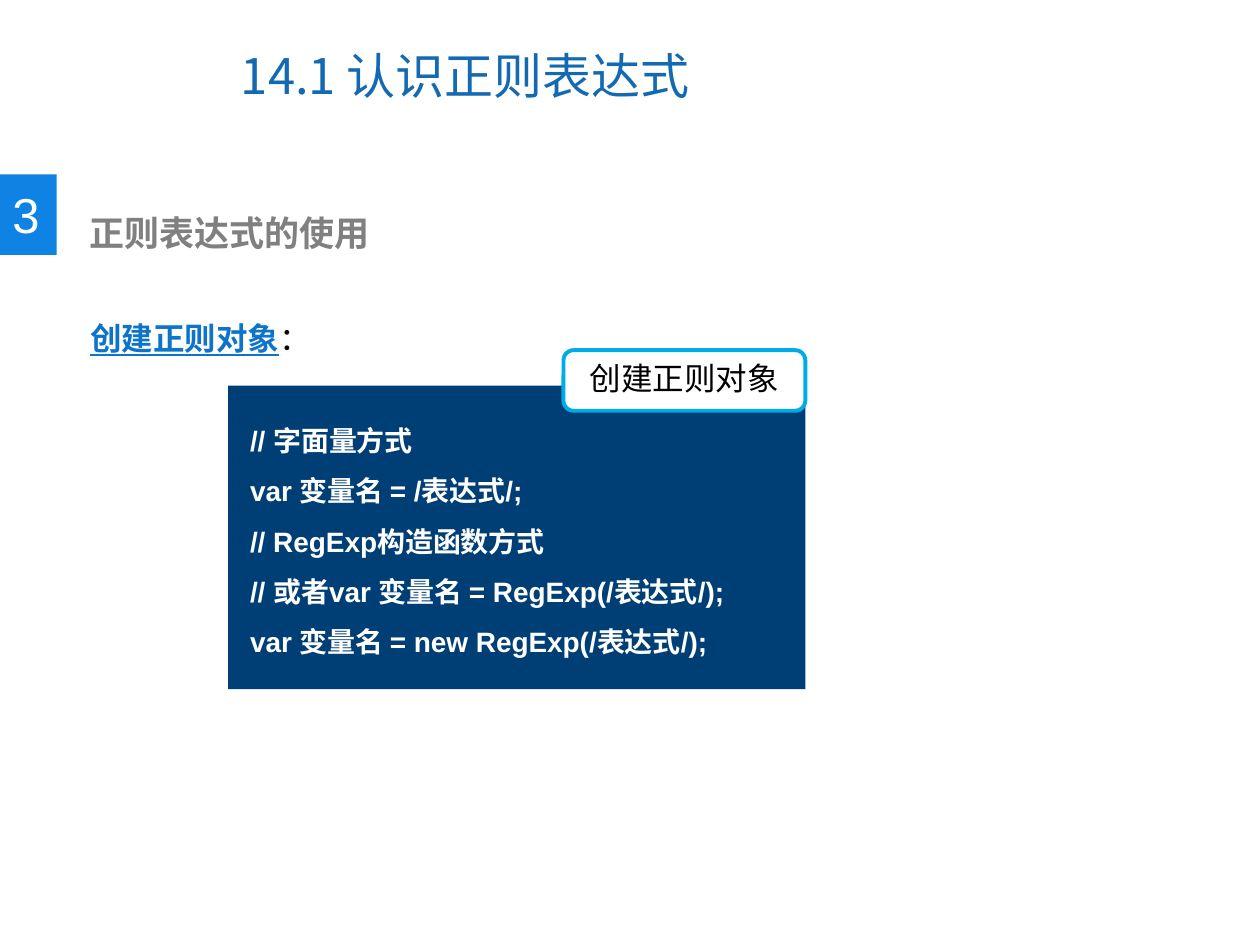
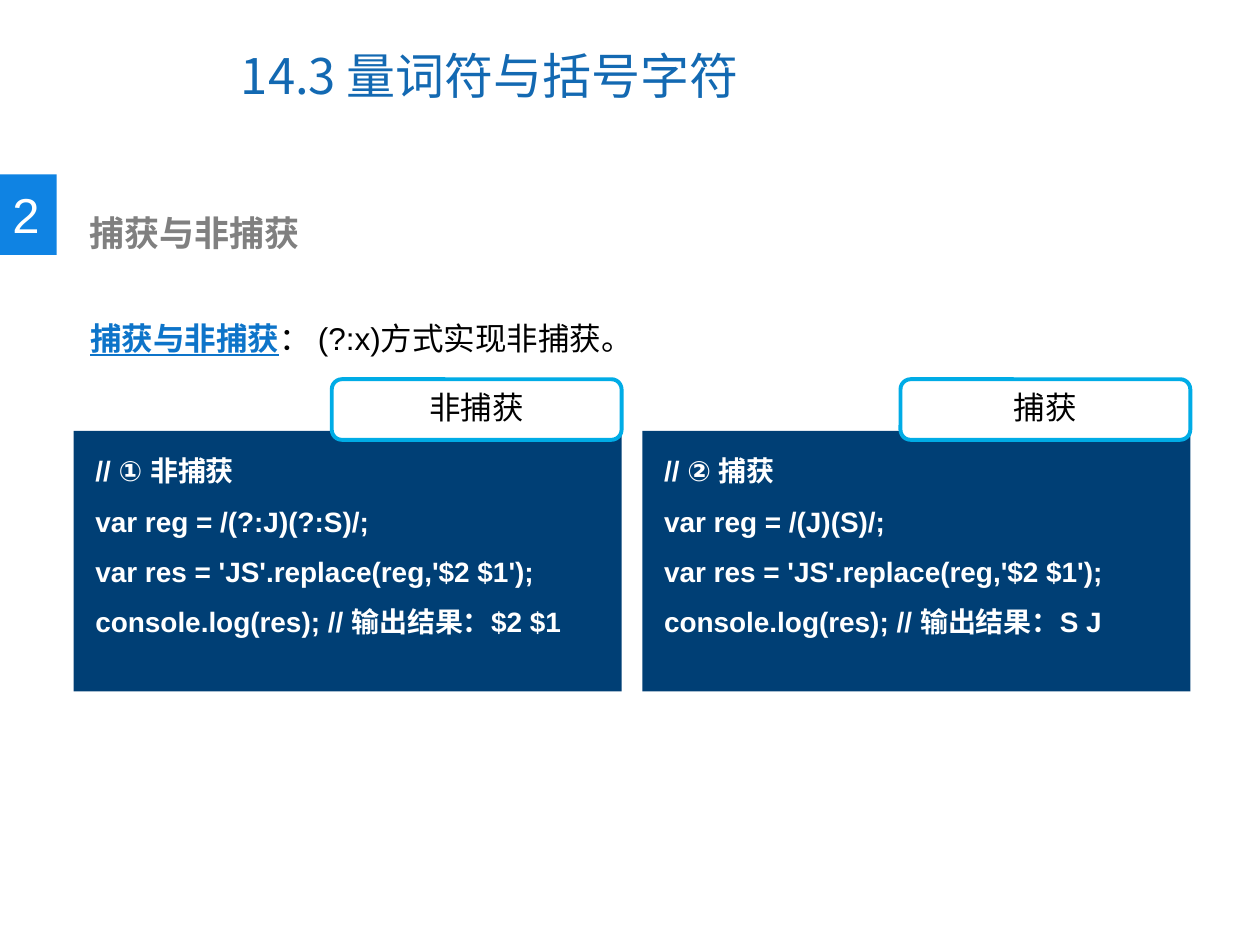
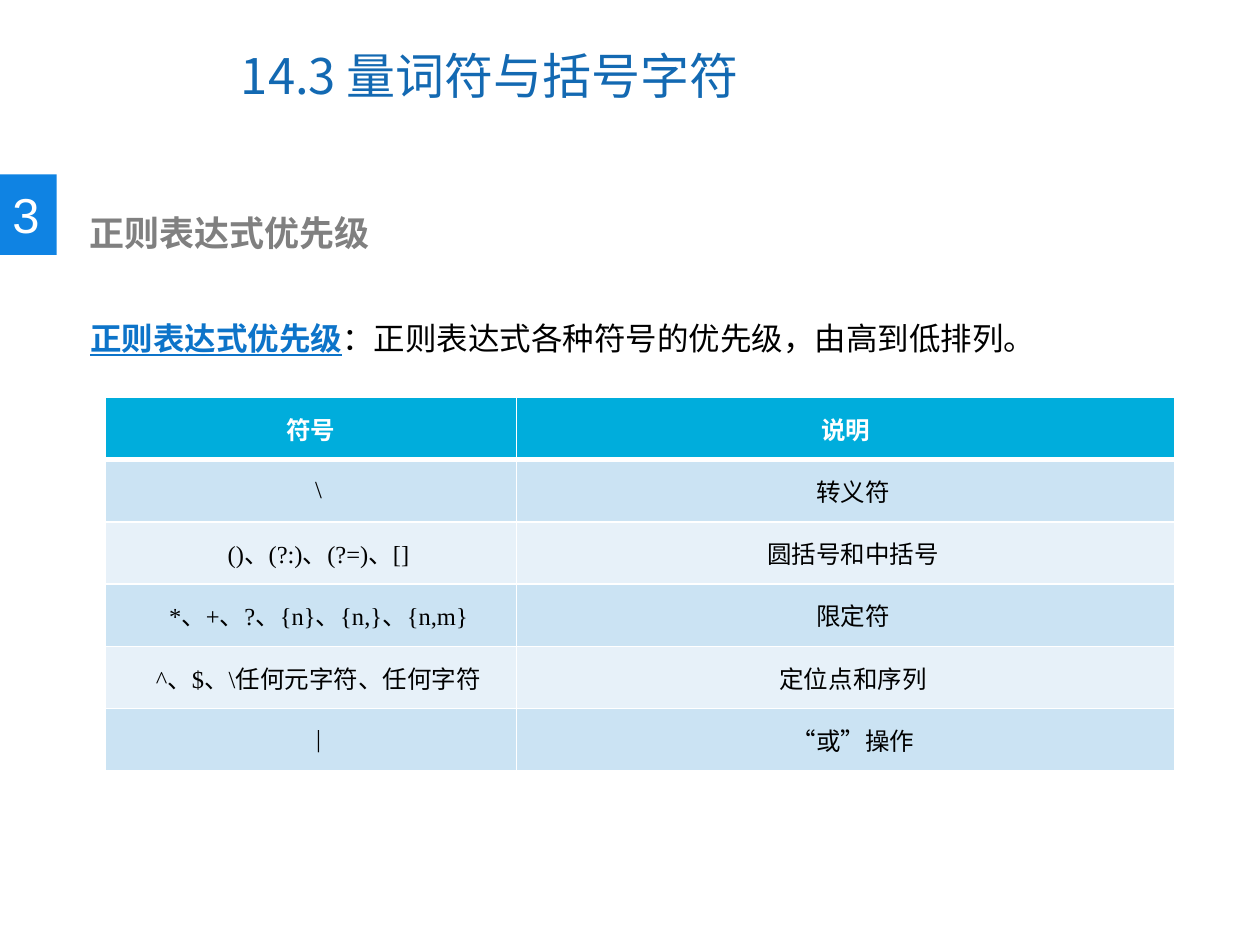
"""Build three lesson slides on regular expressions."""
from dataclasses import dataclass
from typing import Any

from lxml import etree
from pptx import Presentation
from pptx.dml.color import RGBColor
from pptx.enum.shapes import MSO_SHAPE
from pptx.enum.text import MSO_ANCHOR, PP_ALIGN
from pptx.oxml.ns import qn
from pptx.util import Pt

RECT, ROUND = MSO_SHAPE.RECTANGLE, MSO_SHAPE.ROUNDED_RECTANGLE
TOP, MID = MSO_ANCHOR.TOP, MSO_ANCHOR.MIDDLE
CENTER = PP_ALIGN.CENTER

HUES = {
    "title": "1369B2", "badge": "0F83E3", "topic": "808080", "term": "0D74C9",
    "code": "003F75", "tab": "00ACE6", "head": "00ADDC", "odd": "CBE3F3",
    "even": "E7F1F9", "white": "FFFFFF", "black": "000000",
}
CJK, SANS, SERIF = "Noto Sans CJK SC", "Arial", "Times New Roman"
FONTS: dict[str, dict[str, Any]] = {
    "digit": {"name": CJK, "size": Pt(28)},
    "title": {"name": SANS, "size": Pt(28)},
    "badge": {"name": SANS, "size": Pt(28)},
    "topic": {"name": SANS, "size": Pt(20), "bold": True},
    "term": {"name": SANS, "size": Pt(18), "bold": True, "underline": True},
    "plain": {"name": SANS, "size": Pt(18)},
    "code": {"name": SANS, "size": Pt(16), "bold": True},
    "head": {"name": SERIF, "size": Pt(14), "bold": True},
    "cell": {"name": SERIF, "size": Pt(14), "bold": False},
}
INKS = {
    "digit": "title", "title": "title", "badge": "white", "topic": "topic",
    "term": "term", "plain": "black", "code": "white", "head": "white",
    "cell": "black",
}
CELL = {"margin_left": Pt(6), "margin_right": Pt(6), "margin_top": 0,
        "margin_bottom": 0, "vertical_anchor": MID}

Run = tuple[str, str]
Box = tuple[float, float, float, float]


@dataclass
class Panel:
    """A block of code with a label tab at its top right corner."""
    left: float
    top: float
    wide: float
    tall: float
    pad: float
    tab: float
    rise: float
    label: str
    code: list[str]


@dataclass
class Page:
    """The wording that changes from slide to slide."""
    mark: str
    title: str
    badge: str
    topic: str
    term: str
    note: str
    panels: list[Panel]
    rows: list[tuple[str, str]]


def pair(left: float, label: str, code: list[str]) -> Panel:
    """Make one of two panels that stand side by side."""
    return Panel(left, 246.2, 313.2, 149, 0, 165.6, 29.5, label, code)


PAGES = [
    Page("14.1 ", "认识正则表达式", "3", "正则表达式的使用", "创建正则对象", "：", [
        Panel(130.4, 220.3, 329.8, 173.5, 8.6, 138.2, 20.2, "创建正则对象", [
            "// 字面量方式",
            "var 变量名 = /表达式/;",
            "// RegExp构造函数方式",
            "// 或者var 变量名 = RegExp(/表达式/);",
            "var 变量名 = new RegExp(/表达式/);",
        ]),
    ], []),
    Page("14.3 ", "量词符与括号字符", "2", "捕获与非捕获", "捕获与非捕获",
         "： (?:x)方式实现非捕获。", [
             pair(42, "非捕获", [
                 "// ① 非捕获",
                 "var reg = /(?:J)(?:S)/;",
                 "var res = 'JS'.replace(reg,'$2 $1');",
                 "console.log(res); // 输出结果：$2 $1",
             ]),
             pair(367, "捕获", [
                 "// ② 捕获",
                 "var reg = /(J)(S)/;",
                 "var res = 'JS'.replace(reg,'$2 $1');",
                 "console.log(res); // 输出结果：S J",
             ]),
         ], []),
    Page("14.3 ", "量词符与括号字符", "3", "正则表达式优先级", "正则表达式优先级",
         "：正则表达式各种符号的优先级，由高到低排列。", [], [
             ("符号", "说明"),
             ("\\", "转义符"),
             ("()、(?:)、(?=)、[]", "圆括号和中括号"),
             ("*、+、?、{n}、{n,}、{n,m}", "限定符"),
             ("^、$、\\任何元字符、任何字符", "定位点和序列"),
             ("|", "“或”操作"),
         ]),
]


def hue(name: str) -> RGBColor:
    """Look up a colour."""
    return RGBColor.from_string(HUES[name])


def apply(item: Any, form: dict[str, Any]) -> None:
    """Set every format value on an object."""
    for key, value in form.items():
        setattr(item, key, value)


def write(frame: Any, lines: list[list[Run]], **form: Any) -> None:
    """Fill a text frame with lines of styled runs."""
    for i, line in enumerate(lines):
        para = frame.add_paragraph() if i else frame.paragraphs[0]
        apply(para, form)
        for text, style in line:
            run = para.add_run()
            run.text = text
            apply(run.font, FONTS[style])
            run.font.color.rgb = hue(INKS[style])
            east = etree.SubElement(run._r.get_or_add_rPr(), qn("a:ea"))
            east.set("typeface", CJK)


def label(slide: Any, box: Box, lines: list[list[Run]], space: float = 1,
          **form: Any) -> None:
    """Add a text box."""
    frame = slide.shapes.add_textbox(*map(Pt, box)).text_frame
    apply(frame, {"word_wrap": True, **form})
    write(frame, lines, line_spacing=space)


def block(slide: Any, kind: Any, box: Box, fill: str) -> Any:
    """Add a filled shape without line or shadow."""
    shape = slide.shapes.add_shape(kind, *map(Pt, box))
    shape.shadow.inherit = False
    shape.fill.solid()
    shape.fill.fore_color.rgb = hue(fill)
    shape.line.fill.background()
    return shape


def frame(slide: Any, page: Page) -> None:
    """Draw the title, the badge, the topic and the lead line."""
    label(slide, (130.6, 12.2, 371.5, 61.2),
          [[(page.mark, "digit"), (page.title, "title")]], vertical_anchor=MID)
    block(slide, RECT, (0, 99.6, 32.4, 46), "badge")
    label(slide, (0, 102.2, 30.2, 41), [[(page.badge, "badge")]],
          word_wrap=False)
    label(slide, (33.8, 117.4, 370, 31.7), [[(page.topic, "topic")]],
          margin_left=Pt(17.4))
    label(slide, (44.6, 157, 622.8, 43.9),
          [[(page.term, "term"), (page.note, "plain")]], 2)


def panel(slide: Any, item: Panel) -> None:
    """Draw a code panel with its tab."""
    block(slide, RECT, (item.left, item.top, item.wide, item.tall), "code")
    label(slide, (item.left + 5.4, item.top + item.pad, item.wide - 5.4,
                  item.tall - 2 * item.pad),
          [[(line, "code")] for line in item.code], 1.5)
    tab = block(slide, ROUND, (item.left + item.wide - item.tab,
                               item.top - item.rise, item.tab, 34.6), "white")
    tab.line.color.rgb = hue("tab")
    tab.line.width = Pt(2.25)
    tab.text_frame.vertical_anchor = TOP
    write(tab.text_frame, [[(item.label, "plain")]], alignment=CENTER)


def edge(cell: Any, side: str, width: float) -> None:
    """Draw one white border of a cell."""
    line = etree.SubElement(cell._tc.get_or_add_tcPr(), qn(f"a:ln{side}"))
    line.set("w", str(Pt(width)))
    fill = etree.SubElement(line, qn("a:solidFill"))
    etree.SubElement(fill, qn("a:srgbClr")).set("val", HUES["white"])


def grid(slide: Any, rows: list[tuple[str, str]]) -> None:
    """Draw the table of symbols."""
    wides, tall = (234.6, 376.4), 35.6
    table = slide.shapes.add_table(
        len(rows), len(wides), Pt(60.4), Pt(227), Pt(sum(wides)),
        Pt(tall * len(rows))).table
    for col, wide in zip(table.columns, wides):
        col.width = Pt(wide)
    for i, row in enumerate(rows):
        table.rows[i].height = Pt(tall)
        style = "cell" if i else "head"
        fill = ("even", "odd")[i % 2] if i else "head"
        for j, text in enumerate(row):
            cell = table.cell(i, j)
            apply(cell, CELL)
            for side in "LRTB":
                thick = (i, side) in ((0, "B"), (1, "T"))
                edge(cell, side, 3 if thick else 1)
            cell.fill.solid()
            cell.fill.fore_color.rgb = hue(fill)
            write(cell.text_frame, [[(text, style)]], alignment=CENTER)
            if i:
                para = cell.text_frame.paragraphs[0]._p.get_or_add_pPr()
                para.set("marL", str(Pt(8.6)))
                para.set("indent", "0")


def main() -> None:
    """Build and save the slides."""
    deck = Presentation()
    deck.slide_width, deck.slide_height = Pt(720), Pt(540)
    for page in PAGES:
        slide = deck.slides.add_slide(deck.slide_layouts[6])
        frame(slide, page)
        for item in page.panels:
            panel(slide, item)
        if page.rows:
            grid(slide, page.rows)
    deck.save("out.pptx")


if __name__ == "__main__":
    main()
